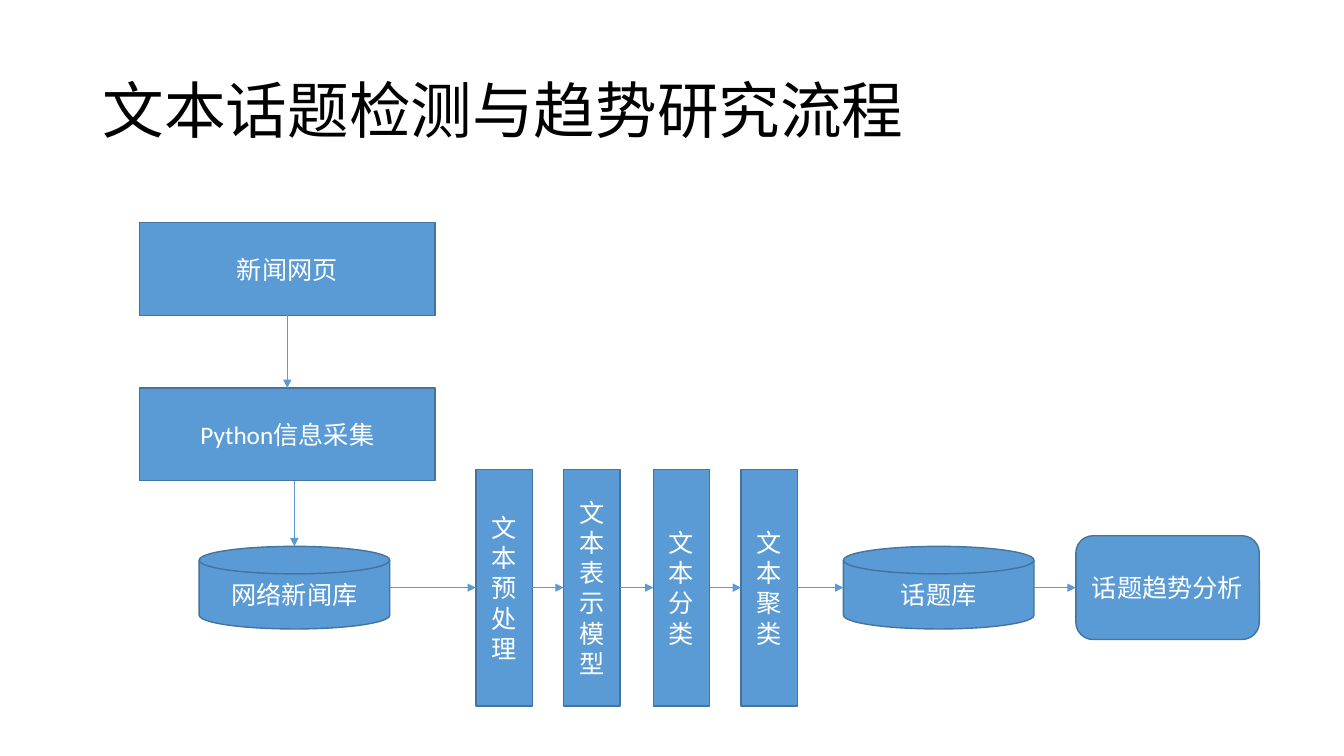
from lxml.etree import SubElement
from pptx import Presentation
from pptx.dml.color import RGBColor
from pptx.enum.shapes import MSO_CONNECTOR, MSO_SHAPE
from pptx.enum.text import MSO_ANCHOR, PP_ALIGN
from pptx.oxml.ns import qn
from pptx.util import Inches, Pt

TITLE = "文本话题检测与趋势研究流程"
FLOW_Y = 5.83
COLLECT_X = 2.85
STORE_X = 2.92

RECT = MSO_SHAPE.RECTANGLE
DISK = MSO_SHAPE.FLOWCHART_MAGNETIC_DISK
ROUND = MSO_SHAPE.ROUNDED_RECTANGLE
SOURCE_SIZE, STAGE_SIZE, STORE_SIZE = (2.93, 0.92), (0.56, 2.35), (1.89, 0.82)

STEPS = [
    ("新闻网页", RECT, COLLECT_X, 2.67, SOURCE_SIZE),
    ("Python信息采集", RECT, COLLECT_X, 4.31, SOURCE_SIZE),
    ("网络新闻库", DISK, STORE_X, FLOW_Y, STORE_SIZE),
    ("文本预处理", RECT, 5.0, FLOW_Y, STAGE_SIZE),
    ("文本表示模型", RECT, 5.87, FLOW_Y, STAGE_SIZE),
    ("文本分类", RECT, 6.76, FLOW_Y, STAGE_SIZE),
    ("文本聚类", RECT, 7.63, FLOW_Y, STAGE_SIZE),
    ("话题库", DISK, 9.31, FLOW_Y, STORE_SIZE),
    ("话题趋势分析", ROUND, 11.58, FLOW_Y, (1.82, 1.03)),
]

FONT = "Calibri"
BLACK = RGBColor(0x00, 0x00, 0x00)
WHITE = RGBColor(0xFF, 0xFF, 0xFF)
BLUE = RGBColor(0x5B, 0x9B, 0xD5)
DARK_BLUE = RGBColor(0x43, 0x73, 0x9E)
TOP, LEFT, BOTTOM, RIGHT = range(4)


def write(frame, text, size, color, align):
    frame.text = text
    frame.word_wrap = True
    frame.vertical_anchor = MSO_ANCHOR.MIDDLE
    paragraph = frame.paragraphs[0]
    paragraph.alignment = align
    font = paragraph.runs[0].font
    font.name, font.size, font.color.rgb = FONT, Pt(size), color
    return paragraph


def add_step(slide, text, kind, center_x, center_y, size):
    width, height = size
    step = slide.shapes.add_shape(
        kind, Inches(center_x - width / 2), Inches(center_y - height / 2),
        Inches(width), Inches(height))
    step.shadow.inherit = False
    step.fill.solid()
    step.fill.fore_color.rgb = BLUE
    step.line.color.rgb = DARK_BLUE
    step.line.width = Pt(1)
    write(step.text_frame, text, 18, WHITE, PP_ALIGN.CENTER)
    return step


def add_arrow(slide, start, end, going_down):
    center_x = end.left + end.width // 2
    center_y = Inches(FLOW_Y)
    if going_down:
        ends = center_x, start.top + start.height, center_x, end.top
    else:
        ends = start.left + start.width, center_y, end.left, center_y
    arrow = slide.shapes.add_connector(MSO_CONNECTOR.STRAIGHT, *ends)
    start_centered = not going_down or start.left == end.left
    if start.auto_shape_type != DISK and start_centered:
        arrow.begin_connect(start, BOTTOM if going_down else RIGHT)
    if end.auto_shape_type != DISK:
        arrow.end_connect(end, TOP if going_down else LEFT)
    arrow.line.color.rgb = BLUE
    arrow.line.width = Pt(0.5)
    SubElement(arrow.line._get_or_add_ln(), qn("a:tailEnd"), type="triangle")
    SubElement(arrow._element.spPr, qn("a:effectLst"))


def main():
    deck = Presentation()
    deck.slide_width, deck.slide_height = Inches(13.33), Inches(7.5)
    slide = deck.slides.add_slide(deck.slide_layouts[6])

    heading = slide.shapes.add_textbox(
        Inches(0.92), Inches(0.4), Inches(11.5), Inches(1.45))
    write(heading.text_frame, TITLE, 44, BLACK, PP_ALIGN.LEFT).line_spacing = 0.9

    steps = [add_step(slide, *step) for step in STEPS]
    for start, end, (*_, start_y, _), (*_, end_y, _) in zip(
            steps, steps[1:], STEPS, STEPS[1:]):
        add_arrow(slide, start, end, going_down=end_y > start_y)

    deck.save("out.pptx")


if __name__ == "__main__":
    main()
